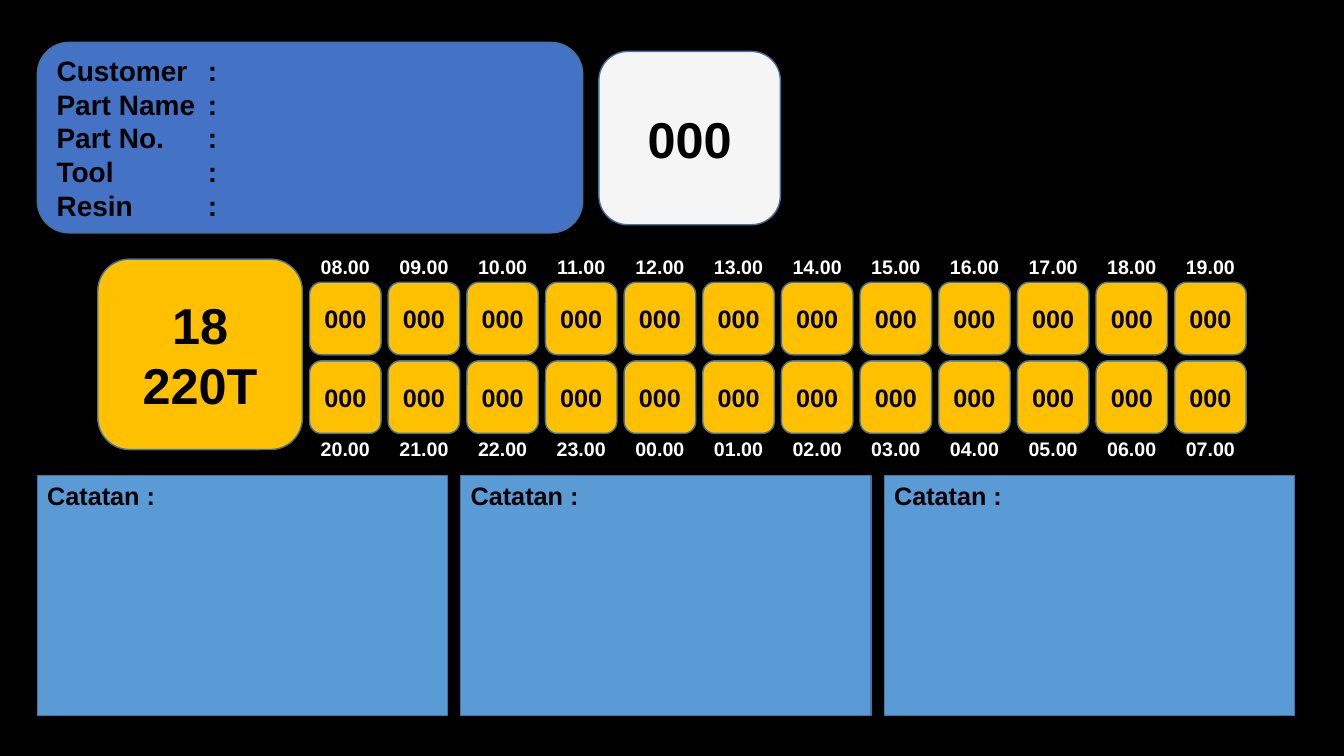
from dataclasses import dataclass

from pptx import Presentation
from pptx.dml.color import RGBColor
from pptx.enum.shapes import MSO_SHAPE
from pptx.enum.text import MSO_ANCHOR, PP_ALIGN
from pptx.slide import Slide
from pptx.text.text import TextFrame
from pptx.util import Inches, Pt

RECTANGLE = MSO_SHAPE.RECTANGLE
ROUNDED = MSO_SHAPE.ROUNDED_RECTANGLE
LEFT, CENTER = PP_ALIGN.LEFT, PP_ALIGN.CENTER
TOP, MIDDLE = MSO_ANCHOR.TOP, MSO_ANCHOR.MIDDLE


@dataclass(frozen=True)
class Theme:
    font: str = "Arial"
    background: str = "000000"
    dark_text: str = "000000"
    light_text: str = "FFFFFF"
    outline: str = "43739E"
    machine: str = "FFC000"
    details: str = "4472C4"
    counter: str = "F5F5F5"
    note: str = "5B9BD5"
    large: int = 36
    medium: int = 20
    normal: int = 18
    small: int = 14


@dataclass(frozen=True)
class Box:
    left: float
    top: float
    width: float
    height: float


@dataclass(frozen=True)
class Panel:
    box: Box
    fill: str
    lines: tuple[str, ...]
    size: int
    geometry: MSO_SHAPE = ROUNDED
    alignment: PP_ALIGN = CENTER
    anchor: MSO_ANCHOR = MIDDLE


@dataclass(frozen=True)
class Shift:
    first_hour: int
    label_top: float
    cell_top: float


THEME = Theme()
HOURS_PER_SHIFT = 12
HOUR_LEFT, HOUR_PITCH = 3.07, 0.78
CELL_WIDTH, CELL_HEIGHT, LABEL_HEIGHT = 0.71, 0.72, 0.16
NOTE_LEFT, NOTE_PITCH, NOTE_COUNT = 0.37, 4.2, 3

DETAILS = ("Customer\t:", "Part Name\t: ", "Part No.\t:", "Tool\t\t:", "Resin\t\t:")
PANELS = (
    Panel(Box(0.97, 2.57, 2.03, 1.89), THEME.machine, ("18", "220T"), THEME.large),
    Panel(Box(0.37, 0.42, 5.41, 1.89), THEME.details, DETAILS, THEME.medium, alignment=LEFT),
    Panel(Box(5.94, 0.51, 1.8, 1.72), THEME.counter, ("000",), THEME.large),
)
SHIFTS = (Shift(8, 2.57, 2.8), Shift(20, 4.37, 3.58))


def write_lines(
    frame: TextFrame, lines: tuple[str, ...], size: int, color: str, alignment: PP_ALIGN
) -> None:
    frame.word_wrap = True
    for index, line in enumerate(lines):
        paragraph = frame.add_paragraph() if index else frame.paragraphs[0]
        paragraph.alignment = alignment
        run = paragraph.add_run()
        run.text = line
        run.font.name = THEME.font
        run.font.size = Pt(size)
        run.font.bold = True
        run.font.color.rgb = RGBColor.from_string(color)


def place(box: Box) -> tuple[Inches, Inches, Inches, Inches]:
    return Inches(box.left), Inches(box.top), Inches(box.width), Inches(box.height)


def draw_panel(slide: Slide, panel: Panel) -> None:
    shape = slide.shapes.add_shape(panel.geometry, *place(panel.box))
    shape.shadow.inherit = False
    shape.fill.solid()
    shape.fill.fore_color.rgb = RGBColor.from_string(panel.fill)
    shape.line.color.rgb = RGBColor.from_string(THEME.outline)
    shape.line.width = Pt(1)
    shape.text_frame.vertical_anchor = panel.anchor
    write_lines(shape.text_frame, panel.lines, panel.size, THEME.dark_text, panel.alignment)


def draw_hour_label(slide: Slide, box: Box, hour: int) -> None:
    frame = slide.shapes.add_textbox(*place(box)).text_frame
    frame.margin_left = frame.margin_right = Inches(0)
    frame.vertical_anchor = MIDDLE
    write_lines(frame, (f"{hour:02d}.00",), THEME.small, THEME.light_text, CENTER)


def draw_shift(slide: Slide, shift: Shift) -> None:
    for column in range(HOURS_PER_SHIFT):
        left = HOUR_LEFT + column * HOUR_PITCH
        cell = Box(left, shift.cell_top, CELL_WIDTH, CELL_HEIGHT)
        label = Box(left, shift.label_top, CELL_WIDTH, LABEL_HEIGHT)
        draw_panel(slide, Panel(cell, THEME.machine, ("000",), THEME.normal))
        draw_hour_label(slide, label, (shift.first_hour + column) % 24)


def draw_notes(slide: Slide) -> None:
    for column in range(NOTE_COUNT):
        box = Box(NOTE_LEFT + column * NOTE_PITCH, 4.72, 4.07, 2.38)
        draw_panel(
            slide,
            Panel(box, THEME.note, ("Catatan :",), THEME.normal, RECTANGLE, LEFT, TOP),
        )


def main() -> None:
    presentation = Presentation()
    presentation.slide_width = Inches(13.33)
    presentation.slide_height = Inches(7.5)
    slide = presentation.slides.add_slide(presentation.slide_layouts[6])
    slide.background.fill.solid()
    slide.background.fill.fore_color.rgb = RGBColor.from_string(THEME.background)
    for panel in PANELS:
        draw_panel(slide, panel)
    for shift in SHIFTS:
        draw_shift(slide, shift)
    draw_notes(slide)
    presentation.save("out.pptx")


main()
